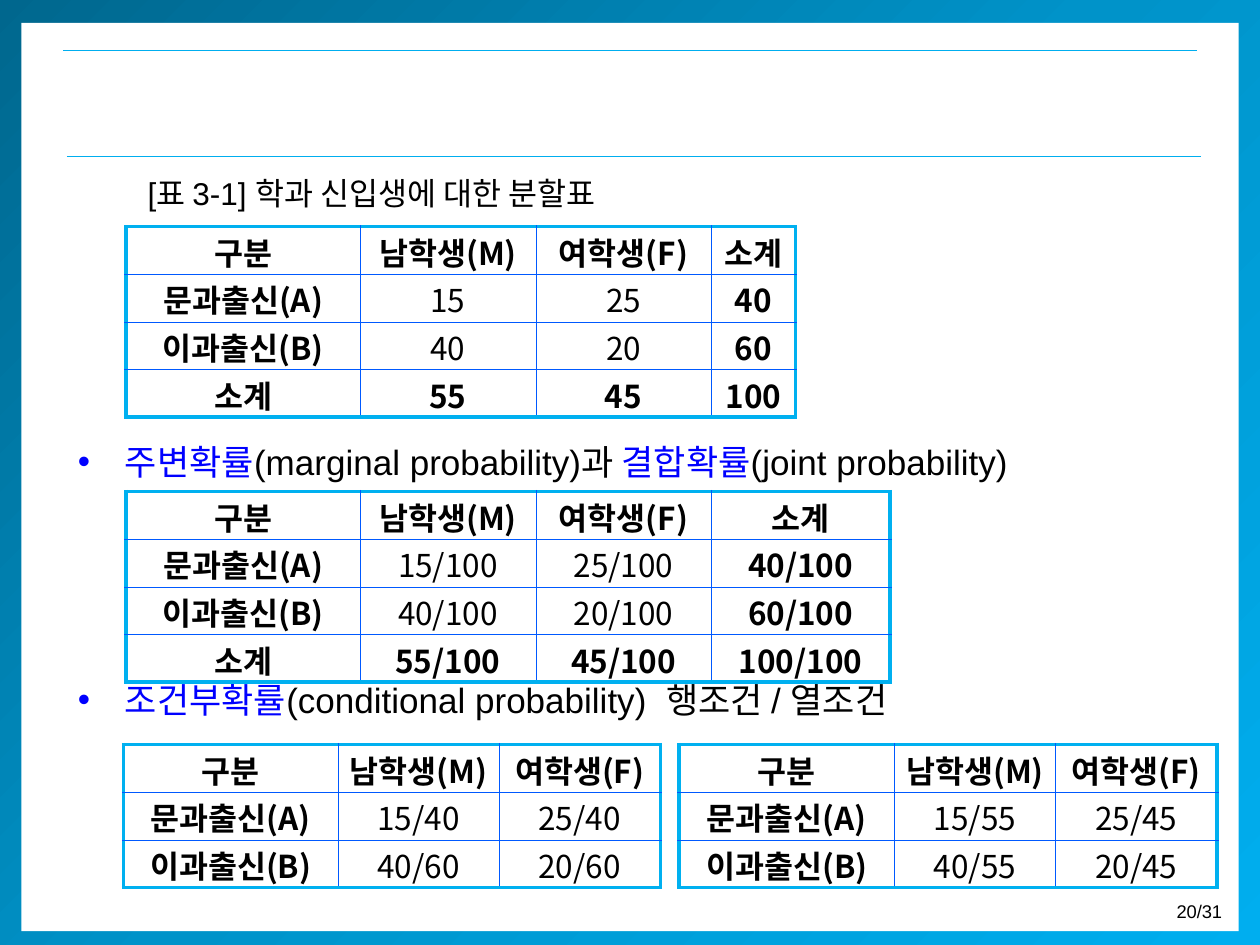
"""Build the slide on contingency tables and marginal, joint and conditional probability."""
from copy import deepcopy

from lxml import etree
from pptx import Presentation
from pptx import util as u
from pptx.dml.color import RGBColor
from pptx.enum import shapes, text
from pptx.oxml import ns

BLACK = RGBColor(0, 0, 0)
WHITE = RGBColor(255, 255, 255)
BLUE = RGBColor(0, 0, 255)
SKY = RGBColor(0, 0xAE, 0xEF)
FRAME_STOPS = [(0, RGBColor(0, 0x67, 0x8E)), (0.5, RGBColor(0, 0x93, 0xC9)), (1, SKY)]
OUTER = (RGBColor(0, 0xB0, 0xF0), u.Pt(2.25))
INNER = (RGBColor(0, 0x59, 0xFF), u.Pt(0.28))
HANGUL = "Noto Sans CJK KR"


def add_run(paragraph, words, **values):
    run = paragraph.add_run()
    run.text = words
    run.font.color.rgb = values.pop("color", BLACK)
    for name, value in values.items():
        setattr(run.font, name, value)
    etree.SubElement(run.font._element, ns.qn("a:ea"), typeface=HANGUL)


def add_border(cell, position, side, color, width):
    line = etree.Element(ns.qn(f"a:ln{side}"), w=str(int(width)))
    fill = etree.SubElement(line, ns.qn("a:solidFill"))
    etree.SubElement(fill, ns.qn("a:srgbClr"), val=str(color))
    cell._tc.get_or_add_tcPr().insert(position, line)


deck = Presentation()
deck.slide_width, deck.slide_height = u.Cm(25.4), u.Cm(19.05)
slide = deck.slides.add_slide(deck.slide_layouts[6])

frame = slide.shapes.add_shape(
    shapes.MSO_SHAPE.RECTANGLE, u.Cm(0), u.Cm(-0.1), u.Cm(25.4), u.Cm(19.28))
frame.fill.gradient()
frame.fill.gradient_angle = 315
first_stop = frame._element.spPr.find(".//" + ns.qn("a:gs"))
first_stop.addnext(deepcopy(first_stop))
for stop, (position, color) in zip(frame.fill.gradient_stops, FRAME_STOPS):
    stop.position = position
    stop.color.rgb = color

page = slide.shapes.add_shape(
    shapes.MSO_SHAPE.RECTANGLE, u.Cm(0.43), u.Cm(0.46), u.Cm(24.54), u.Cm(18.31))
page.fill.solid()
page.fill.fore_color.rgb = WHITE
for panel in (frame, page):
    panel.shadow.inherit = False
    panel.line.fill.background()

for left, top in ((1.27, 1.02), (1.35, 3.15)):
    rule = slide.shapes.add_connector(
        shapes.MSO_CONNECTOR.STRAIGHT, u.Cm(left), u.Cm(top), u.Cm(left + 22.86), u.Cm(top))
    rule.line.color.rgb = SKY
    rule.line.width = u.Pt(0.75)
    etree.SubElement(rule._element.spPr, ns.qn("a:effectLst"))

page_number = slide.shapes.add_textbox(u.Cm(23.32), u.Cm(18.03), u.Cm(1.57), u.Cm(0.74))
page_number.text_frame.word_wrap = False
number_line = page_number.text_frame.paragraphs[0]
number_line.alignment = text.PP_ALIGN.RIGHT
add_run(number_line, "20/31", size=u.Pt(10.5), name="Arial")

topics = slide.shapes.add_textbox(u.Cm(1.32), u.Cm(8.76), u.Cm(23.37), u.Cm(7.77)).text_frame
topics.word_wrap = True
topic_lines = [
    (4, [("주변확률", BLUE), ("(marginal probability)과 ", BLACK),
         ("결합확률", BLUE), ("(joint probability)", BLACK)]),
    (112, [("조건부확률", BLUE), ("(conditional probability)  행조건 / 열조건", BLACK)]),
]
for index, (gap, pieces) in enumerate(topic_lines):
    topic = topics.add_paragraph() if index else topics.paragraphs[0]
    topic.space_before = u.Pt(gap)
    layout = topic._p.get_or_add_pPr()
    layout.set("marL", str(u.Cm(0.95)))
    layout.set("indent", str(u.Cm(-0.95)))
    etree.SubElement(layout, ns.qn("a:buFont"), typeface="Arial")
    etree.SubElement(layout, ns.qn("a:buChar"), char="•")
    for words, color in pieces:
        add_run(topic, words, color=color, size=u.Pt(20), name="Arial")

caption = slide.shapes.add_textbox(u.Cm(2.08), u.Cm(3.38), u.Cm(10.82), u.Cm(1.02))
caption.fill.solid()
caption.fill.fore_color.rgb = WHITE
caption.text_frame.word_wrap = False
caption.text_frame.vertical_anchor = text.MSO_ANCHOR.MIDDLE
caption_line = caption.text_frame.paragraphs[0]
caption_line.alignment = text.PP_ALIGN.CENTER
add_run(caption_line, "[표 3-1] 학과 신입생에 대한 분할표", size=u.Pt(18), name="Arial")

HEADER = ["구분", "남학생(M)", "여학생(F)"]
ARTS, SCIENCE, TOTAL = "문과출신(A)", "이과출신(B)", "소계"
tables = [
    (2.54, 4.57, [4.72, 3.54, 3.54, 1.7],
     [HEADER + [TOTAL], [ARTS, "15", "25", "40"], [SCIENCE, "40", "20", "60"],
      [TOTAL, "55", "45", "100"]]),
    (2.54, 9.91, [4.72, 3.54, 3.54, 3.6],
     [HEADER + [TOTAL], [ARTS, "15/100", "25/100", "40/100"],
      [SCIENCE, "40/100", "20/100", "60/100"], [TOTAL, "55/100", "45/100", "100/100"]]),
    (2.49, 15.01, [4.32, 3.25, 3.25],
     [HEADER, [ARTS, "15/40", "25/40"], [SCIENCE, "40/60", "20/60"]]),
    (13.69, 15.01, [4.34, 3.25, 3.25],
     [HEADER, [ARTS, "15/55", "25/45"], [SCIENCE, "40/55", "20/45"]]),
]
CELL_FORMAT = {"margin_left": u.Cm(0.1), "margin_right": u.Cm(0.1),
               "margin_top": u.Cm(0.04), "margin_bottom": u.Cm(0)}
ROW_HEIGHT = 0.96
for left, top, widths, rows in tables:
    grid = slide.shapes.add_table(
        len(rows), len(widths), u.Cm(left), u.Cm(top),
        u.Cm(sum(widths)), u.Cm(ROW_HEIGHT * len(rows))).table
    grid.first_row = grid.horz_banding = False
    for column, width in zip(grid.columns, widths):
        column.width = u.Cm(width)
    last_row, last_column = len(rows) - 1, len(widths) - 1
    for r, row in enumerate(rows):
        grid.rows[r].height = u.Cm(ROW_HEIGHT)
        for c, words in enumerate(row):
            cell = grid.cell(r, c)
            for name, value in CELL_FORMAT.items():
                setattr(cell, name, value)
            cell.fill.background()
            edges = {"L": c == 0, "R": c == last_column, "T": r == 0, "B": r == last_row}
            for position, (side, outside) in enumerate(edges.items()):
                add_border(cell, position, side, *(OUTER if outside else INNER))
            entry = cell.text_frame.paragraphs[0]
            entry.alignment = text.PP_ALIGN.CENTER
            heavy = r == 0 or c == 0 or row[0] == TOTAL or rows[0][c] == TOTAL
            add_run(entry, words, size=u.Pt(18), name=HANGUL, bold=heavy)

deck.save("out.pptx")
